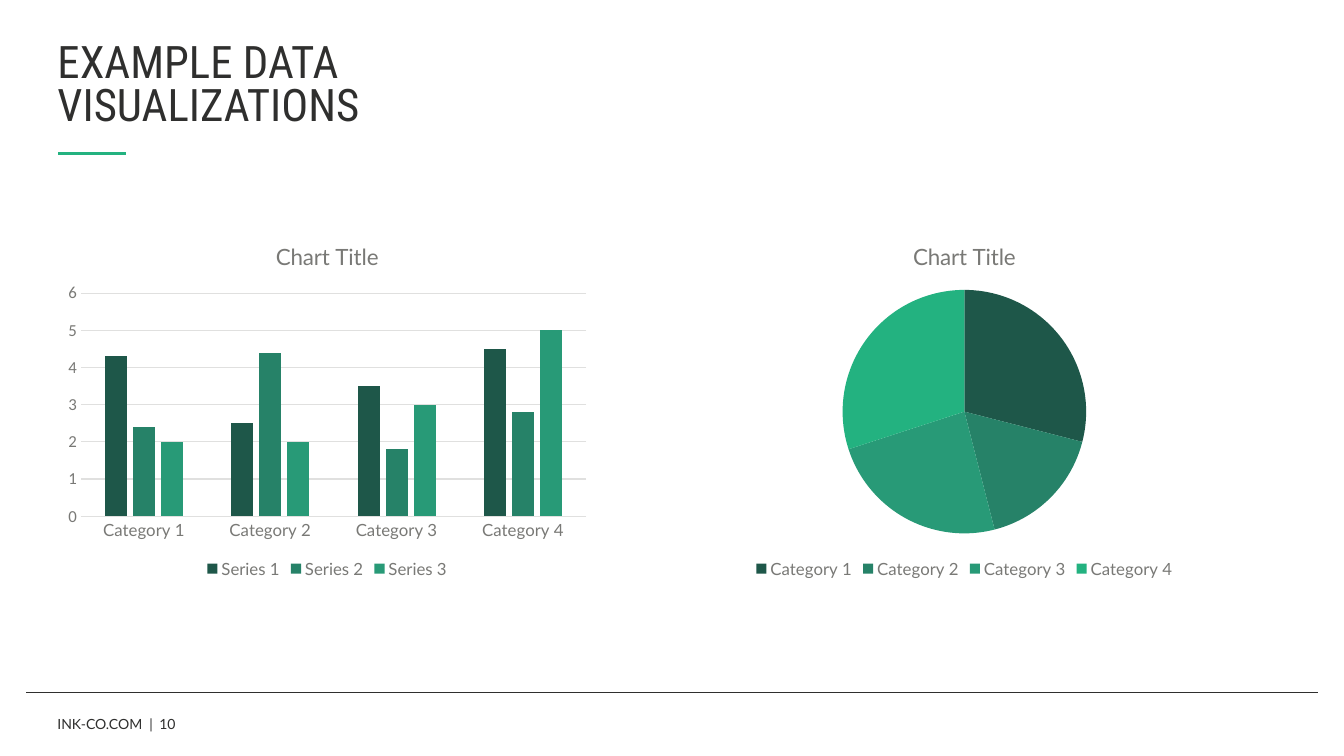
from copy import deepcopy
from dataclasses import dataclass

from pptx import Presentation
from pptx import util as u
from pptx.chart import data
from pptx.dml.color import RGBColor
from pptx.enum import chart as ch, shapes, text as tx
from pptx.oxml.ns import qn
from pptx.oxml.xmlchemy import OxmlElement


@dataclass(frozen=True)
class Theme:
    ink: str = "2F2F2E"
    gray: str = "797976"
    rule: str = "E0E0DF"
    accent: str = "23B280"
    greens: tuple = ("1E5749", "268268", "289A77", "23B280")
    head: str = "Roboto Condensed"
    body: str = "Lato"
    plain: str = "Calibri"
    title: int = 32
    label: int = 16
    legend: int = 12
    small: int = 10


def style(font, size, face, color):
    font.size = u.Pt(size)
    font.name = face
    font.bold = False
    font.color.rgb = RGBColor.from_string(color)


def write(frame, text, size, face, color, space=None):
    """Fill a text frame with one paragraph; a vertical tab breaks the line."""
    frame.margin_left = frame.margin_right = 0
    frame.margin_top = frame.margin_bottom = 0
    frame.word_wrap = True
    frame.auto_size = tx.MSO_AUTO_SIZE.NONE
    frame.vertical_anchor = tx.MSO_ANCHOR.MIDDLE
    para = frame.paragraphs[0]
    para.text = text
    para.alignment = tx.PP_ALIGN.LEFT
    para.line_spacing = space
    for run in para.runs:
        style(run.font, size, face, color)
    # Line breaks take the format of the text around them
    for brk in para._p.findall(qn("a:br")):
        brk.insert(0, deepcopy(para.runs[0]._r.rPr))


class Page:
    def __init__(self, deck, theme):
        self.theme = theme
        self.slide = deck.slides.add_slide(deck.slide_layouts[5])
        self.shapes = self.slide.shapes

    def title(self, text, box):
        t = self.theme
        shape = self.shapes.title
        shape.left, shape.top, shape.width, shape.height = map(u.Inches, box)
        write(shape.text_frame, text, t.title, t.head, t.ink, space=0.8)

    def label(self, text, box):
        t = self.theme
        shape = self.shapes.add_textbox(*map(u.Inches, box))
        write(shape.text_frame, text, t.small, t.body, t.ink)

    def line(self, left, right, y, color, width):
        ends = map(u.Inches, (left, y, right, y))
        line = self.shapes.add_connector(shapes.MSO_CONNECTOR.STRAIGHT, *ends)
        line.line.color.rgb = RGBColor.from_string(color)
        line.line.width = u.Pt(width)
        line._element.spPr.append(OxmlElement("a:effectLst"))

    def chart(self, kind, box, title, cats, series):
        t = self.theme
        table = data.CategoryChartData()
        table.categories = cats
        for name, vals in series.items():
            table.add_series(name, vals)
        chart = self.shapes.add_chart(kind, *map(u.Inches, box), table).chart
        # A new pie holds only its first series until its data is replaced
        chart.replace_data(table)
        style(chart.font, t.small, t.plain, t.ink)
        # Title and legend
        chart.has_title = True
        head = chart.chart_title
        head.include_in_layout = False
        head.text_frame.text = title
        style(head.text_frame.paragraphs[0].runs[0].font,
              t.label, t.body, t.gray)
        chart.has_legend = True
        chart.legend.position = ch.XL_LEGEND_POSITION.BOTTOM
        chart.legend.include_in_layout = False
        style(chart.legend.font, t.legend, t.body, t.gray)
        return chart

    def paint(self, parts):
        for part, color in zip(parts, self.theme.greens):
            part.format.fill.solid()
            part.format.fill.fore_color.rgb = RGBColor.from_string(color)

    def bars(self, *args):
        t = self.theme
        chart = self.chart(ch.XL_CHART_TYPE.COLUMN_CLUSTERED, *args)
        plot = chart.plots[0]
        plot.vary_by_categories = False
        plot.gap_width, plot.overlap = 219, -27
        self.paint(plot.series)
        # Axes
        cat, val = chart.category_axis, chart.value_axis
        for axis, face in ((cat, t.body), (val, t.plain)):
            axis.major_tick_mark = ch.XL_TICK_MARK.NONE
            axis.minor_tick_mark = ch.XL_TICK_MARK.NONE
            style(axis.tick_labels.font, t.legend, face, t.gray)
        val.minimum_scale, val.maximum_scale, val.major_unit = 0, 6, 1
        val.has_major_gridlines = True
        val.format.line.fill.background()
        for line in (cat.format.line, val.major_gridlines.format.line):
            line.color.rgb = RGBColor.from_string(t.rule)
            line.width = u.Pt(0.75)

    def pie(self, *args):
        chart = self.chart(ch.XL_CHART_TYPE.PIE, *args)
        plot = chart.plots[0]
        plot.vary_by_categories = True
        for ring in plot.series:
            self.paint([ring.points[i] for i in range(len(plot.categories))])


def main():
    deck = Presentation()
    deck.slide_width, deck.slide_height = u.Inches(13.33), u.Inches(7.5)
    theme = Theme()
    page = Page(deck, theme)

    # Heading
    page.title("EXAMPLE DATA\vVISUALIZATIONS", (0.57, 0.4, 12.24, 0.93))
    page.line(0.58, 1.25, 1.52, theme.accent, 2)

    # Charts
    cats = [f"Category {n}" for n in range(1, 5)]
    page.bars((0.57, 2.22, 5.35, 3.56), "Chart Title", cats, {
        "Series 1": (4.3, 2.5, 3.5, 4.5),
        "Series 2": (2.4, 4.4, 1.8, 2.8),
        "Series 3": (2, 2, 3, 5),
    })
    page.pie((6.89, 2.22, 5.35, 3.56), "Chart Title", cats, {
        "Series 1": (29, 17, 24, 30),
        "Series 2": (21, 39, 16, 25),
        "Series 3": (17, 17, 25, 42),
    })

    # Footer
    page.line(0.26, 13.07, 6.87, theme.ink, 1)
    page.label("INK-CO.COM  |", (0.57, 6.98, 1.04, 0.4))
    page.label("10", (1.58, 7.03, 1.18, 0.3))

    deck.save("out.pptx")


if __name__ == "__main__":
    main()
